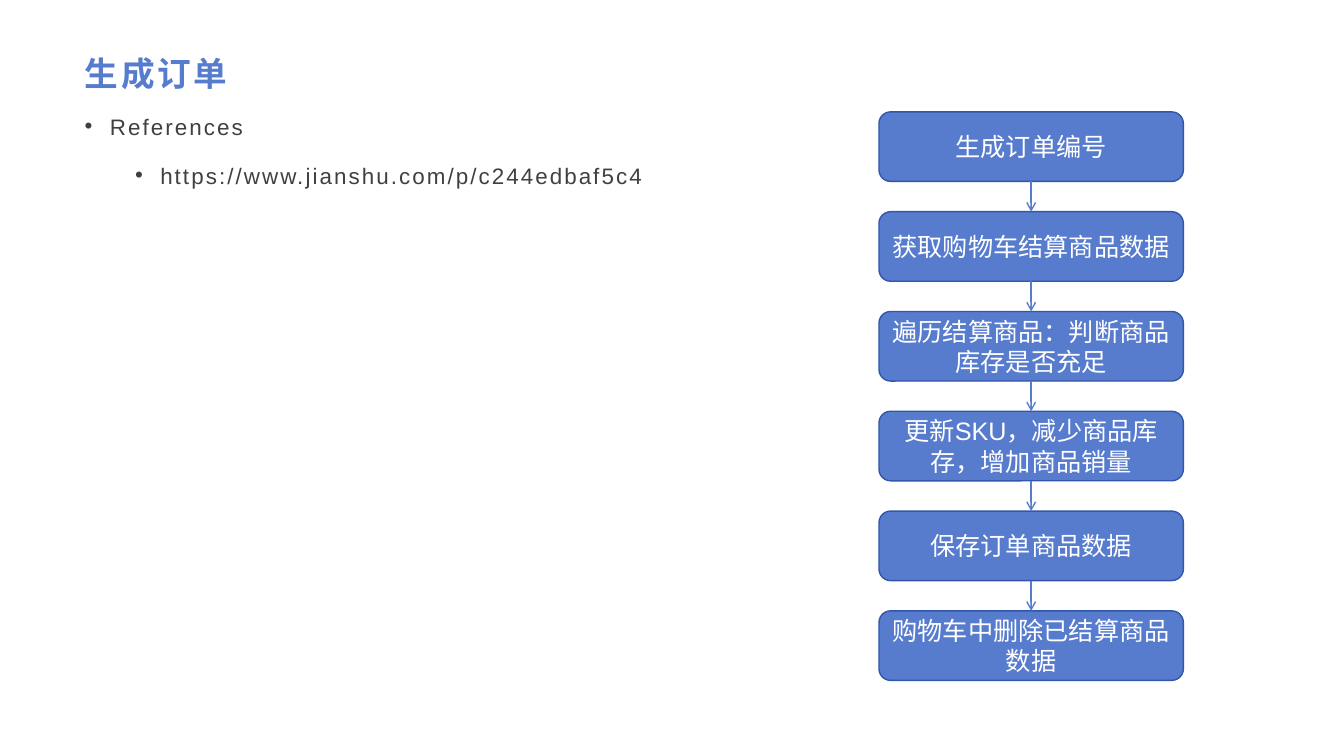
from lxml.etree import SubElement
from pptx import Presentation
from pptx.dml.color import RGBColor
from pptx.enum.shapes import MSO_CONNECTOR as Connector, MSO_SHAPE as Preset
from pptx.enum.text import MSO_ANCHOR as Anchor, PP_ALIGN as Align
from pptx.oxml.ns import qn
from pptx.util import Inches, Pt

STEPS = [
    "生成订单编号",
    "获取购物车结算商品数据",
    "遍历结算商品：判断商品库存是否充足",
    "更新SKU，减少商品库存，增加商品销量",
    "保存订单商品数据",
    "购物车中删除已结算商品数据",
]
REFERENCES = [("References", 0), ("https://www.jianshu.com/p/c244edbaf5c4", 1)]


def color(value):
    return RGBColor.from_string(value)


class FlowSlide:
    """Draws styled elements on a slide divided into 40 columns and 30 rows."""

    font_name = "Arial"
    blue, edge, gray, white = "577CCE", "3257AA", "404040", "FFFFFF"

    def __init__(self, presentation):
        self.slide = presentation.slides.add_slide(presentation.slide_layouts[6])
        self.column = presentation.slide_width / 40
        self.row = presentation.slide_height / 30

    def area(self, left, top, width, height):
        return (round(left * self.column), round(top * self.row),
                round(width * self.column), round(height * self.row))

    def add_text(self, paragraph, text, size, fill, bold=False, spacing=0):
        run = paragraph.add_run()
        run.text = text
        if spacing:
            run._r.get_or_add_rPr().set("spc", str(round(spacing * 100)))
        font = paragraph.font
        font.name, font.size, font.bold = self.font_name, Pt(size), bold
        font.color.rgb = color(fill)

    def text_frame(self, area, margins):
        frame = self.slide.shapes.add_textbox(*self.area(*area)).text_frame
        frame.word_wrap = True
        (frame.margin_left, frame.margin_top,
         frame.margin_right, frame.margin_bottom) = map(Inches, margins)
        return frame

    def title(self, text, area):
        frame = self.text_frame(area, (0.11, 0.04, 0.08, 0.04))
        frame.vertical_anchor = Anchor.MIDDLE
        self.add_text(frame.paragraphs[0], text, 24, self.blue, True, 2)

    def bullets(self, items, area):
        frame = self.text_frame(area, (0.11, 0, 0.09, 0))
        for index, (text, level) in enumerate(items):
            paragraph = frame.add_paragraph() if index else frame.paragraphs[0]
            paragraph.level = level
            paragraph.line_spacing, paragraph.space_after = 1.3, Pt(10)
            properties = paragraph._p.get_or_add_pPr()
            properties.set("marL", str(Inches(0.25 + 0.5 * level)))
            properties.set("indent", str(Inches(-0.25)))
            SubElement(properties, qn("a:buFont")).set("typeface", self.font_name)
            SubElement(properties, qn("a:buChar")).set("char", "•")
            self.add_text(paragraph, text, 16, self.gray, spacing=1.5)

    def step(self, text, area):
        shape = self.slide.shapes.add_shape(Preset.ROUNDED_RECTANGLE, *self.area(*area))
        shape.shadow.inherit = False
        shape.fill.solid()
        shape.fill.fore_color.rgb = color(self.blue)
        shape.line.color.rgb, shape.line.width = color(self.edge), Pt(1)
        frame = shape.text_frame
        frame.word_wrap, frame.vertical_anchor = True, Anchor.MIDDLE
        paragraph = frame.paragraphs[0]
        paragraph.alignment = Align.CENTER
        self.add_text(paragraph, text, 18, self.white)
        return shape

    def arrow(self, upper, lower):
        connector = self.slide.shapes.add_connector(Connector.STRAIGHT, 0, 0, 0, 0)
        connector.begin_connect(upper, 2)
        connector.end_connect(lower, 0)
        connector.line.color.rgb, connector.line.width = color(self.blue), Pt(1)
        SubElement(connector.line._get_or_add_ln(), qn("a:tailEnd")).set("type", "arrow")
        SubElement(connector._element.spPr, qn("a:effectLst"))


def main():
    presentation = Presentation()
    presentation.slide_width, presentation.slide_height = Inches(13.33), Inches(7.5)
    flow = FlowSlide(presentation)
    flow.title("生成订单", (2.19, 1.92, 35.6, 1.92))
    flow.bullets(REFERENCES, (2.19, 4.16, 20.1, 4.52))
    steps = [flow.step(text, (26.16, 4.44 + 3.96 * index, 9.06, 2.76))
             for index, text in enumerate(STEPS)]
    for upper, lower in zip(steps, steps[1:]):
        flow.arrow(upper, lower)
    presentation.save("out.pptx")


if __name__ == "__main__":
    main()
